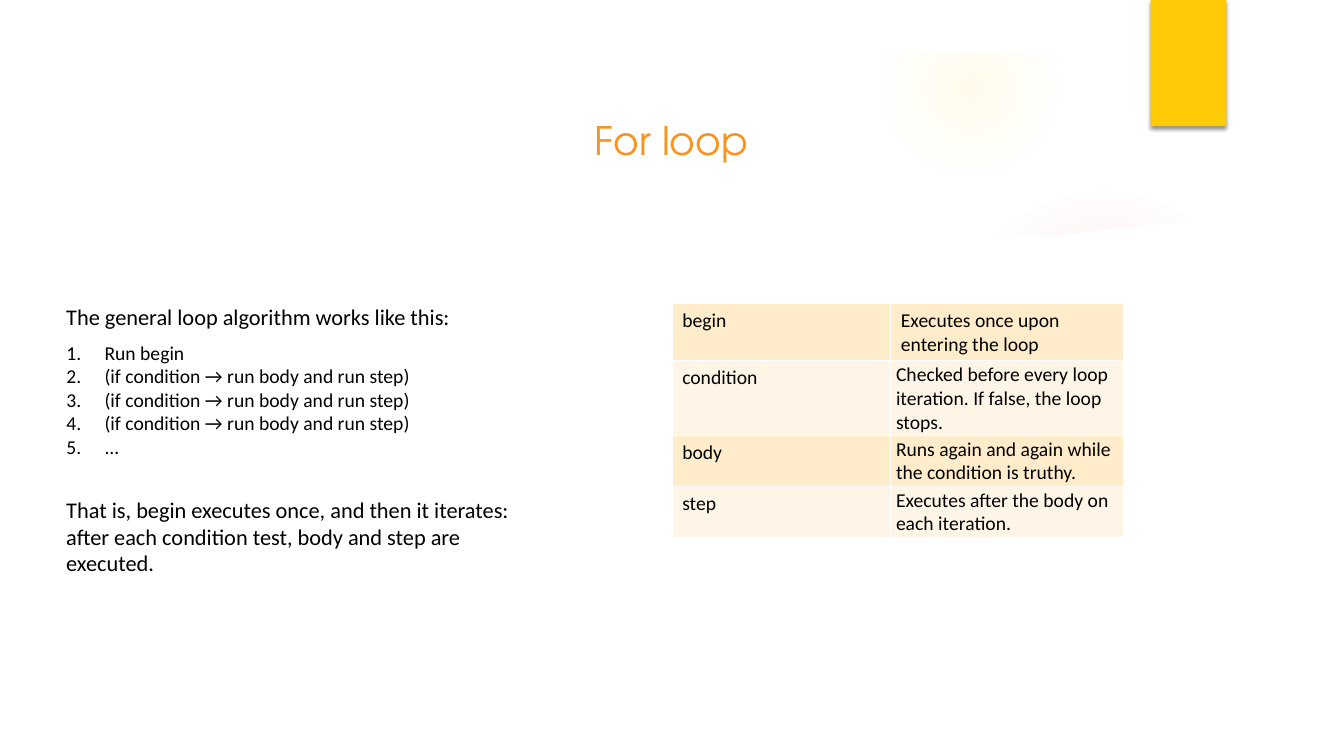
from lxml import etree
from pptx import Presentation, util as u
from pptx.dml.color import RGBColor
from pptx.enum import shapes, text
from pptx.oxml import parse_xml
from pptx.oxml.ns import qn

# Content
TITLE = "For loop"
INTRO = "The general loop algorithm works like this:"
TURN = "(if condition → run body and run step)"
STEPS = ["Run begin", TURN, TURN, TURN, "..."]
CLOSE = ("That is, begin executes once, and then it iterates: "
         "after each condition test, body and step are executed.")
PARTS = [
    ("begin", "Executes once upon entering the loop"),
    ("condition", "Checked before every loop iteration. If false, the loop stops."),
    ("body", "Runs again and again while the condition is truthy."),
    ("step", "Executes after the body on each iteration."),
]

# Look
BLACK, WHITE = RGBColor(0, 0, 0), RGBColor(255, 255, 255)
ORANGE, GOLD = RGBColor(0xF8, 0x93, 0x1D), RGBColor(0xFF, 0xCA, 0x08)
BANDS = RGBColor(0xFF, 0xEC, 0xCA), RGBColor(0xFF, 0xF5, 0xE6)
RED, SUN = RGBColor(0xE6, 0x48, 0x23), RGBColor(0xFF, 0xDE, 0x6A)
NS = 'xmlns:a="http://schemas.openxmlformats.org/drawingml/2006/main"'
WIDE, HIGH, RIM, LEFT = 33.87, 19.05, 1.32, 1.42

# Glows: left, top, size, colour, stops of (place, opacity) in percent
GLOWS = [
    (23.9, 4.65, 7.82, RED, [(0, 6), (36, 5), (69, 0), (100, 0)]),
    (22.23, 0, 4.45, SUN, [(0, 13), (36, 6), (73, 0), (100, 0)]),
]
# Upper edge of the white panel, from left to right
WAVE = [(1.27, 5.18), (2.87, 5.38), (5.49, 5.69), (8.15, 5.92), (11.28, 6.12),
        (14.2, 6.25), (17.98, 6.3), (21.34, 6.25), (24.1, 6.12), (26.92, 5.9),
        (29.77, 5.59), (31.19, 5.41), (32.61, 5.18)]


def box(*cm):
    return [u.Cm(n) for n in cm]


def write(frame, lines, size=14, font="Calibri", color=BLACK, align=None,
          anchor=text.MSO_ANCHOR.TOP, number=False):
    frame.word_wrap = True
    frame.vertical_anchor = anchor
    for i, line in enumerate(lines):
        para = frame.paragraphs[0] if i == 0 else frame.add_paragraph()
        para.alignment = align
        para.space_before = u.Pt(0)
        run = para.add_run()
        run.text = line
        run.font.size, run.font.name = u.Pt(size), font
        run.font.color.rgb = color
        if number:
            props = para._p.get_or_add_pPr()
            props.set("marL", str(u.Cm(0.96)))
            props.set("indent", str(-u.Cm(0.96)))
            etree.SubElement(props, qn("a:buFont"), typeface="+mj-lt")
            etree.SubElement(props, qn("a:buAutoNum"), type="arabicPeriod")


def paint(shape, color):
    shape.shadow.inherit = False
    shape.line.fill.background()
    shape.fill.solid()
    shape.fill.fore_color.rgb = color
    return shape


def glow(shape, color, stops):
    paint(shape, color)
    marks = "".join(
        f'<a:gs pos="{at * 1000}"><a:srgbClr val="{color}">'
        f'<a:alpha val="{alpha * 1000}"/></a:srgbClr></a:gs>' for at, alpha in stops)
    grad = parse_xml(
        f'<a:gradFill {NS}><a:gsLst>{marks}</a:gsLst><a:path path="circle">'
        '<a:fillToRect l="50000" t="50000" r="50000" b="50000"/></a:path></a:gradFill>')
    props = shape._element.spPr
    props.replace(props.find(qn("a:solidFill")), grad)


def edge(cell):
    props = cell._tc.get_or_add_tcPr()
    for i, side in enumerate(("lnL", "lnR", "lnT", "lnB")):
        props.insert(i, parse_xml(
            f'<a:{side} {NS} w="12700"><a:solidFill><a:srgbClr val="{WHITE}"/>'
            f'</a:solidFill></a:{side}>'))


deck = Presentation()
deck.slide_width, deck.slide_height = box(WIDE, HIGH)
slide = deck.slides.add_slide(deck.slide_layouts[1])
items = slide.shapes
title, steps = items.title, slide.placeholders[1]

# Backdrop: glows, panel, frame and tab
for x, y, size, color, stops in GLOWS:
    disc = items.add_shape(shapes.MSO_SHAPE.OVAL, *box(x, y, size, size))
    glow(disc, color, stops)
path = items.build_freeform(*box(*WAVE[0]))
path.add_line_segments([box(*p) for p in WAVE[1:] + [(32.61, 17.78), (1.27, 17.78)]])
paint(path.convert_to_shape(), WHITE)
rim = paint(items.add_shape(shapes.MSO_SHAPE.FRAME, *box(0, 0, WIDE, HIGH)), WHITE)
rim.adjustments[0] = RIM / HIGH
tab = paint(items.add_shape(shapes.MSO_SHAPE.RECTANGLE, *box(29, 0, 1.91, 3.18)), GOLD)
tab._element.spPr.find(qn("a:effectLst")).append(parse_xml(
    f'<a:outerShdw {NS} blurRad="38100" dist="25400" dir="5400000" rotWithShape="0">'
    '<a:srgbClr val="000000"><a:alpha val="44000"/></a:srgbClr></a:outerShdw>'))

# Title and numbered list, raised above the backdrop
for holder, place in ((title, (5.31, 2.84, 23.22, 1.4)), (steps, (LEFT, 8.46, 10.52, 3.25))):
    holder.left, holder.top, holder.width, holder.height = box(*place)
    holder.text_frame.auto_size = text.MSO_AUTO_SIZE.NONE
    items._spTree.append(holder._element)
write(title.text_frame, [TITLE], size=28, font="TeX Gyre Adventor", color=ORANGE,
      align=text.PP_ALIGN.CENTER, anchor=text.MSO_ANCHOR.BOTTOM)
write(steps.text_frame, STEPS, number=True)

# Sentences around the list
for line, place in ((INTRO, (LEFT, 7.52, 31.01, 0.94)), (CLOSE, (LEFT, 12.37, 11.86, 2.31))):
    write(items.add_textbox(*box(*place)).text_frame, [line], size=16)

# Table of loop parts
grid = items.add_table(len(PARTS), 2, *box(16.94, 7.65, 11.38, 4.88)).table
grid.first_row = grid.horz_banding = False
for col, width in zip(grid.columns, box(5.51, 5.87)):
    col.width = width
for r, words in enumerate(PARTS):
    for c, word in enumerate(words):
        cell = grid.cell(r, c)
        tight = r > 0 and c == 1
        write(cell.text_frame, [word])
        cell.vertical_anchor = text.MSO_ANCHOR.MIDDLE if tight else text.MSO_ANCHOR.TOP
        if tight:
            cell.margin_left = u.Cm(0.13)
            cell.margin_top = cell.margin_bottom = u.Cm(0.05)
        cell.fill.solid()
        cell.fill.fore_color.rgb = BANDS[r % 2]
        edge(cell)

deck.save("out.pptx")
